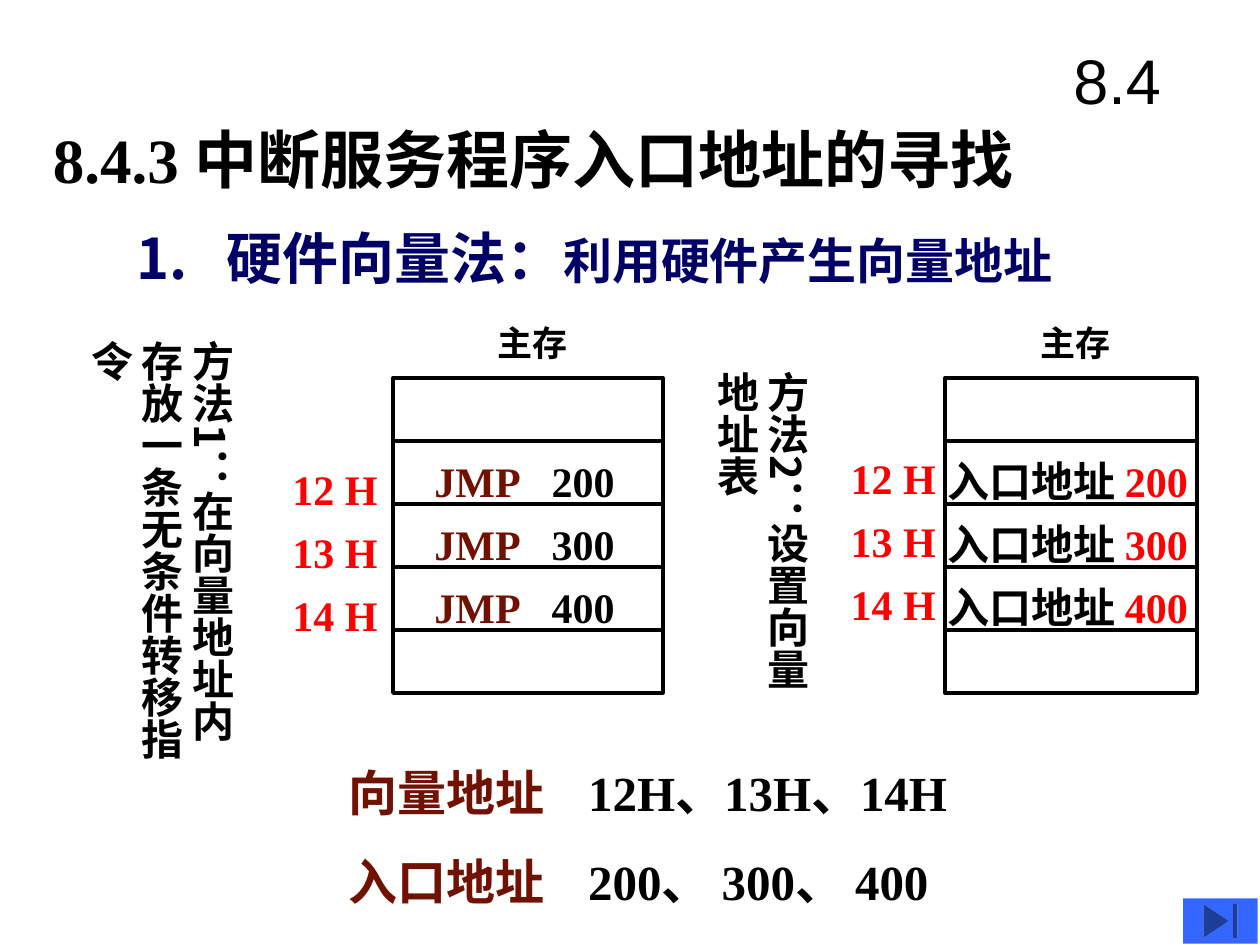
from lxml.etree import SubElement
from pptx import Presentation
from pptx.dml.color import RGBColor
from pptx.enum.shapes import MSO_SHAPE
from pptx.enum.text import MSO_ANCHOR
from pptx.oxml.ns import qn
from pptx.util import Inches, Pt

BLACK, RED, MAROON, NAVY, BLUE = "000000", "FF0000", "711101", "000066", "3366FF"
SERIF, CHINESE = "Times New Roman", "Noto Sans CJK SC"
ADDRESSES = ("12 H", "13 H", "14 H")
ENTRIES = ("200", "300", "400")
ROW, MEMORY_TOP = 0.5, 3


def colour(code):
    return RGBColor.from_string(code)


class Board:
    """Holds the slide and draws each kind of element in one style."""

    def __init__(self, page):
        self.shapes = page.shapes

    def text(self, place, paragraphs, size=24, font=SERIF, bold=True, inset=(0.1, 0.05),
             middle=False, vertical=False, tab=None, gap=0):
        box = self.shapes.add_textbox(*map(Inches, place))
        frame = box.text_frame
        frame.word_wrap = True
        frame.margin_left = frame.margin_right = Inches(inset[0])
        frame.margin_top = frame.margin_bottom = Inches(inset[1])
        frame.vertical_anchor = MSO_ANCHOR.MIDDLE if middle else MSO_ANCHOR.TOP
        if vertical:
            box.element.txBody.bodyPr.set("vert", "eaVert")
        for index, spans in enumerate(paragraphs):
            para = frame.add_paragraph() if index else frame.paragraphs[0]
            if index and gap:
                para.space_before = Pt(gap)
            if tab:
                stops = SubElement(para._p.get_or_add_pPr(), qn("a:tabLst"))
                SubElement(stops, qn("a:tab"), pos=str(Inches(tab)), algn="l")
            for words, code, *own_size in spans:
                span = para.add_run()
                span.text = words
                span.font.size = Pt(own_size[0] if own_size else size)
                span.font.bold = bold
                span.font.name = font
                span.font.color.rgb = colour(code)
                SubElement(span.font._element, qn("a:ea"), typeface=CHINESE)

    def cell(self, left, top, width):
        shape = self.shapes.add_shape(MSO_SHAPE.RECTANGLE, *map(Inches, (left, top, width, ROW)))
        shape.shadow.inherit = False
        shape.fill.background()
        shape.line.color.rgb = colour(BLACK)
        shape.line.width = Pt(2.25)

    def memory(self, left, width, caption_left):
        for row in range(5):
            self.cell(left, MEMORY_TOP + row * ROW, width)
        self.text((caption_left, 2.5, 0.9, 0.44), [[("主存", BLACK)]], size=20)

    def addresses(self, left, top):
        for row, address in enumerate(ADDRESSES):
            self.text((left, top + row * ROW, 0.75, 0.58), [[(address, RED)]],
                      inset=(0, 0.05), middle=True)

    def method(self, place, words):
        self.text(place, [[(words, BLACK)]], font=CHINESE, inset=(0.05, 0.1), vertical=True)

    def button(self, left, top, width, height):
        shape = self.shapes.add_shape(MSO_SHAPE.ACTION_BUTTON_END,
                                      *map(Inches, (left, top, width, height)))
        shape.shadow.inherit = False
        shape.fill.solid()
        shape.fill.fore_color.rgb = colour(BLUE)
        shape.line.fill.background()


def main():
    deck = Presentation()
    deck.slide_width, deck.slide_height = Inches(10), Inches(7.5)
    board = Board(deck.slides.add_slide(deck.slide_layouts[6]))

    board.text((0.42, 0.92, 9.5, 0.67), [[("8.4.3 中断服务程序入口地址的寻找", BLACK)]],
               size=36, inset=(0, 0.05), middle=True)
    board.text((1.08, 1.75, 8, 0.58),
               [[("1.\t硬件向量法：", NAVY), ("利用硬件产生向量地址", NAVY, 28)]],
               size=32, font=CHINESE, inset=(0, 0.05), middle=True, tab=0.72)
    board.text((8.42, 0.17, 1.25, 0.92), [[("8.4", BLACK)]],
               size=36, font="Arial", bold=False, middle=True)

    board.memory(3.12, 2.14, 3.85)
    board.addresses(2.32, 3.59)
    board.memory(7.5, 2, 8.16)
    board.addresses(6.75, 3.5)
    for row, entry in enumerate(ENTRIES):
        top = 3.57 + row * ROW
        board.text((3.35, top, 2.14, ROW), [[("JMP", MAROON), ("\t" + entry, BLACK)]], tab=0.93)
        board.text((7.42, top, 2.3, ROW), [[("入口地址 ", BLACK), (entry, RED)]])

    board.method((0.53, 2.6, 1.4, 3.62), "方法1：在向量地址内存放一条无条件转移指令")
    board.method((5.5, 2.85, 1, 2.99), "方法2：设置向量地址表")
    board.text((2.67, 6, 7.3, 1.28),
               [[("向量地址", MAROON), ("\t12H、13H、14H", BLACK)],
                [("入口地址", MAROON), ("\t200、 300、 400", BLACK)]],
               size=28, tab=1.9, gap=17.5)
    board.button(9.39, 7.13, 0.59, 0.36)
    deck.save("out.pptx")


if __name__ == "__main__":
    main()
